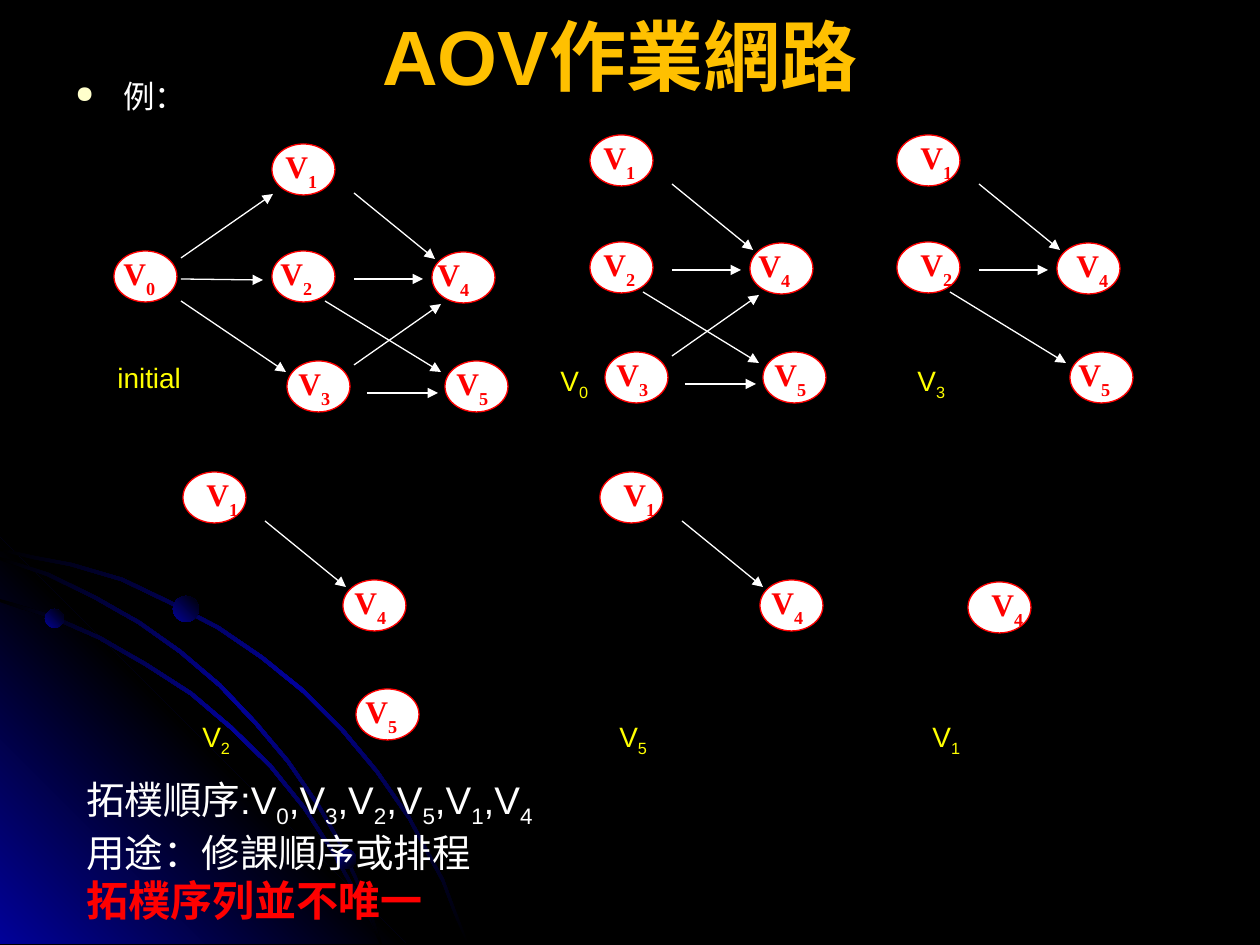
import lxml.etree
import pptx
import pptx.dml.color
import pptx.enum.shapes
import pptx.enum.text
import pptx.oxml.ns
import pptx.util

EMU_PER_PX = 914400 / 126
WIDTH, HEIGHT = 1260, 945
COLORS = {"black": "000000", "blue": "010199", "white": "FFFFFF", "red": "FF0000",
          "yellow": "FFFF00", "gold": "FFC000", "cream": "FFFFCC"}
BAND = ("black", "blue", "black")
CORNER = ("blue", "black", "blue")
DOT = ("blue", "black")
ARCS = (
    ((0, 548), (35, 556), (72, 563), (123, 578), (171, 601), (219, 626), (263, 656), (305, 690),
     (343, 728), (378, 770), (410, 816), (427, 848), (444, 879), (456, 911), (469, 944)),
    ((0, 599), (52, 615), (100, 636), (147, 663), (192, 692), (232, 726), (271, 764), (305, 806),
     (335, 852), (360, 897), (373, 920), (382, 944)),
    ((0, 557), (49, 573), (96, 596), (140, 621), (181, 650), (221, 684), (257, 722), (289, 760),
     (320, 805), (339, 838), (355, 873), (370, 907), (382, 944)),
)
DOTS = ((45, 609, 19, 315), (336, 849, 20, 45), (173, 596, 26, 315))
NODE_WIDTH, NODE_HEIGHT = 63, 51
NODES = {0: (-158, 107), 1: (0, 0), 2: (0, 107), 3: (15, 217), 4: (160, 108), 5: (173, 217)}
EDGES = {
    (0, 1): (-91, 114, 1, 50), (0, 2): (-91, 135, -9, 136), (0, 3): (-91, 157, 14, 228),
    (1, 4): (82, 49, 163, 115), (2, 4): (82, 135, 151, 135), (2, 5): (53, 157, 169, 228),
    (3, 4): (82, 221, 169, 160), (3, 5): (95, 249, 166, 249),
}
# Each graph: origin, label offset of every remaining node, caption, caption position.
GRAPHS = (
    ((272, 144), {0: -3, 1: 1, 2: -4, 3: -1, 4: -7, 5: -1}, "initial", (105, 354)),
    ((590, 135), {1: 1, 2: 1, 3: -1, 4: -4, 5: -1}, "V_0", (548, 357)),
    ((897, 135), {1: 11, 2: 11, 4: 7, 5: -4}, "V_3", (905, 357)),
    ((183, 472), {1: 11, 4: -1, 5: -3}, "V_2", (190, 713)),
    ((600, 472), {1: 11, 4: -1}, "V_5", (607, 713)),
    ((808, 474), {4: 11}, "V_1", (920, 713)),
)


def px(*lengths):
    """Turn lengths in px into EMU."""
    return [pptx.util.Emu(round(length * EMU_PER_PX)) for length in lengths]


def rgb(name):
    """Look up a named colour."""
    return pptx.dml.color.RGBColor.from_string(COLORS[name])


def add_child(parent, tag, **attributes):
    """Append a DrawingML element."""
    child = lxml.etree.SubElement(parent, pptx.oxml.ns.qn("a:" + tag))
    for name, value in attributes.items():
        child.set(name, str(value))
    return child


def set_gradient(shape, colors, angle):
    """Fill a borderless shape with evenly spaced gradient stops."""
    shape.shadow.inherit = False
    shape.line.fill.background()
    shape.fill.gradient()
    gradient = shape._element.spPr.find(pptx.oxml.ns.qn("a:gradFill"))
    for child in list(gradient):
        gradient.remove(child)
    stops = add_child(gradient, "gsLst")
    for index, color in enumerate(colors):
        stop = add_child(stops, "gs", pos=index * 100000 // (len(colors) - 1))
        add_child(stop, "srgbClr", val=COLORS[color])
    add_child(gradient, "lin", ang=angle * 60000, scaled=0)


def add_outline(slide, points, colors, angle):
    """Draw a closed outline with a gradient."""
    builder = slide.shapes.build_freeform(*points[0], scale=EMU_PER_PX)
    builder.add_line_segments(points[1:], close=True)
    set_gradient(builder.convert_to_shape(), colors, angle)


def add_backdrop(slide):
    """Draw the glowing corner, the arcs and their dots."""
    add_outline(slide, ((0, 538), (406, 944), (0, 944)), CORNER, 315)
    for arc in ARCS:
        inner = [(max(x - 2, 0), min(y + 3, 944)) for x, y in reversed(arc)]
        add_outline(slide, list(arc) + inner, BAND, 45)
    for left, top, size, angle in DOTS:
        dot = slide.shapes.add_shape(pptx.enum.shapes.MSO_SHAPE.OVAL, *px(left, top, size, size))
        set_gradient(dot, DOT, angle)


def write(paragraph, text, size, color, bold=False, font="Arial", drop=-25):
    """Write text in which an underscore lowers the next character."""
    def add_run(content, lowered=False):
        """Add one run, lowered or not."""
        if content:
            run = paragraph.add_run()
            run.text = content
            if lowered:
                run._r.get_or_add_rPr().set("baseline", str(drop * 1000))

    first, *others = text.split("_")
    add_run(first)
    for part in others:
        add_run(part[0], True)
        add_run(part[1:])
    paragraph.font.name = font
    paragraph.font.size = pptx.util.Pt(size)
    paragraph.font.bold = bold
    paragraph.font.color.rgb = rgb(color)


def add_box(slide, box, middle=False):
    """Add a wrapping text box and return its frame."""
    frame = slide.shapes.add_textbox(*px(*box)).text_frame
    frame.word_wrap = True
    if middle:
        frame.vertical_anchor = pptx.enum.text.MSO_ANCHOR.MIDDLE
    return frame


def add_node(slide, left, top, number, shift):
    """Draw a vertex and its label."""
    node = slide.shapes.add_shape(
        pptx.enum.shapes.MSO_SHAPE.OVAL, *px(left, top, NODE_WIDTH, NODE_HEIGHT))
    node.shadow.inherit = False
    node.fill.solid()
    node.fill.fore_color.rgb = rgb("white")
    node.line.color.rgb = rgb("red")
    node.line.width = pptx.util.Pt(0.75)
    frame = add_box(slide, (left + shift, top, 70, NODE_HEIGHT), middle=True)
    write(frame.paragraphs[0], f"V_{number}", 18, "red", True, "Times New Roman", -30)


def add_arrow(slide, ends):
    """Draw a thin white arrow."""
    arrow = slide.shapes.add_connector(pptx.enum.shapes.MSO_CONNECTOR.STRAIGHT, *px(*ends))
    arrow.line.color.rgb = rgb("white")
    arrow.line.width = pptx.util.Pt(0.75)
    add_child(arrow.line._get_or_add_ln(), "tailEnd", type="triangle")
    add_child(arrow._element.spPr, "effectLst")


def add_graph(slide, origin, labels, caption, caption_place):
    """Draw the remaining vertices, the edges between them and a caption."""
    left, top = origin
    for number, shift in labels.items():
        x, y = NODES[number]
        add_node(slide, left + x, top + y, number, shift)
    for pair, (x1, y1, x2, y2) in EDGES.items():
        if labels.keys() >= set(pair):
            add_arrow(slide, (left + x1, top + y1, left + x2, top + y2))
    frame = add_box(slide, (*caption_place, 100, 47))
    write(frame.paragraphs[0], caption, 16, "yellow")


def add_example(slide):
    """Write the bulleted lead-in."""
    paragraph = add_box(slide, (63, 75, 150, 60)).paragraphs[0]
    paragraph.line_spacing = 0.9
    properties = paragraph._p.get_or_add_pPr()
    indent = px(48)[0]
    properties.set("marL", str(indent))
    properties.set("indent", str(-indent))
    add_child(add_child(properties, "buClr"), "srgbClr", val=COLORS["cream"])
    add_child(properties, "buSzPct", val=75000)
    add_child(properties, "buChar", char="●")
    write(paragraph, "例：", 18, "white")


def add_summary(slide):
    """Write the resulting order and its use."""
    frame = add_box(slide, (74, 770, 635, 161))
    write(frame.paragraphs[0], "拓樸順序:V_0,V_3,V_2,V_5,V_1,V_4", 22, "white")
    write(frame.add_paragraph(), "用途：修課順序或排程", 22, "white")
    write(frame.add_paragraph(), "拓樸序列並不唯一", 24, "red", True)


def main():
    """Build the slide and save it."""
    presentation = pptx.Presentation()
    presentation.slide_width, presentation.slide_height = px(WIDTH, HEIGHT)
    slide = presentation.slides.add_slide(presentation.slide_layouts[6])
    slide.background.fill.solid()
    slide.background.fill.fore_color.rgb = rgb("black")
    add_backdrop(slide)
    add_example(slide)
    for graph in GRAPHS:
        add_graph(slide, *graph)
    add_summary(slide)
    title = add_box(slide, (53, -24, 1134, 158), middle=True).paragraphs[0]
    title.alignment = pptx.enum.text.PP_ALIGN.CENTER
    write(title, "AOV作業網路", 44, "gold", True)
    presentation.save("out.pptx")


if __name__ == "__main__":
    main()
